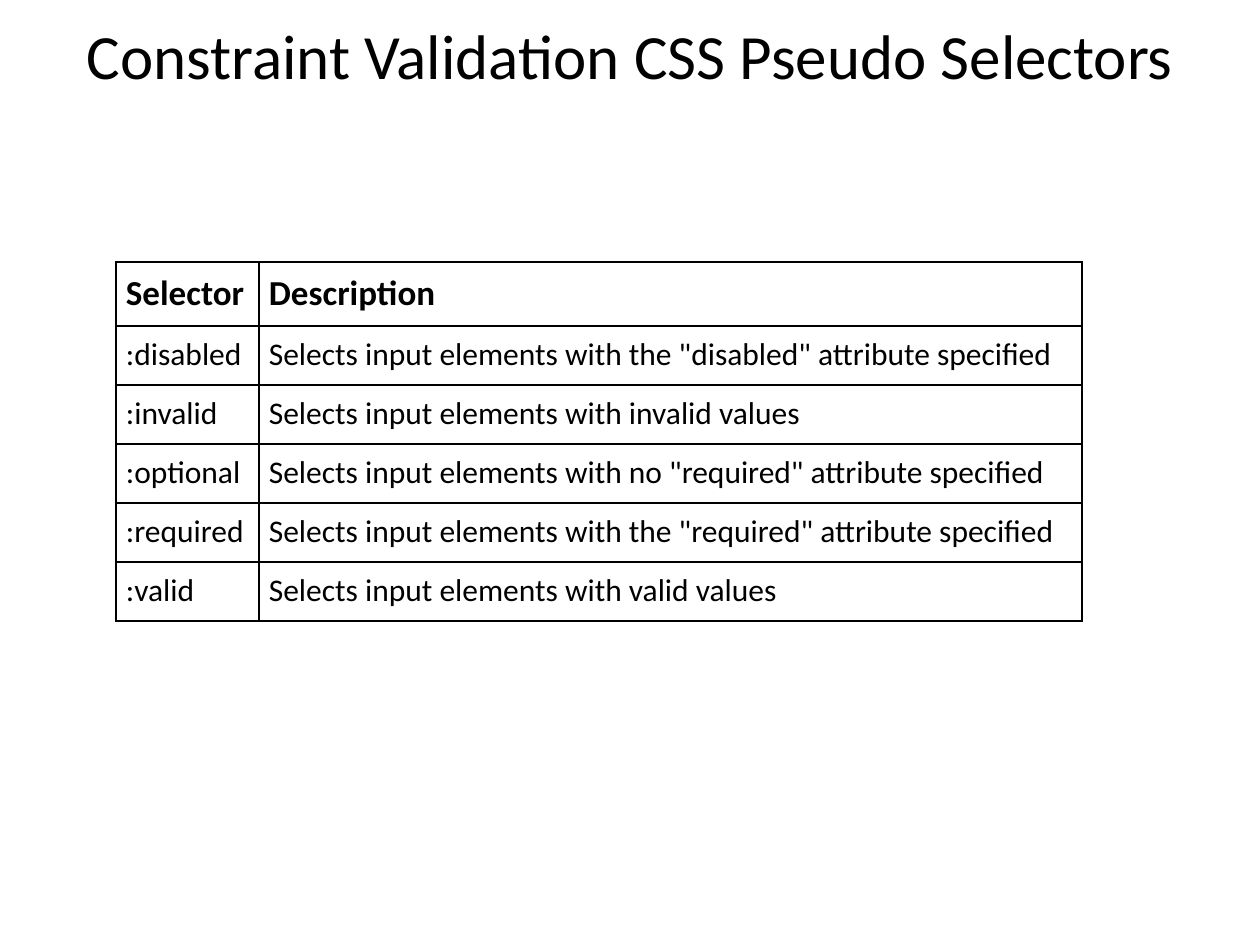
from pptx import Presentation
from pptx.dml.color import RGBColor
from pptx.enum.text import MSO_ANCHOR, PP_ALIGN
from pptx.oxml import parse_xml
from pptx.oxml.ns import nsdecls
from pptx.util import Pt

TITLE = "Constraint Validation CSS Pseudo Selectors"
ROWS = [
    ("Selector", "Description"),
    (":disabled", 'Selects input elements with the "disabled" attribute specified'),
    (":invalid", "Selects input elements with invalid values"),
    (":optional", 'Selects input elements with no "required" attribute specified'),
    (":required", 'Selects input elements with the "required" attribute specified'),
    (":valid", "Selects input elements with valid values"),
]
COLUMN_WIDTHS = (143, 823)
HEADER_HEIGHT, BODY_HEIGHT = 64, 59
TABLE_LEFT, TABLE_TOP = 116, 262
CELL_MARGIN = 10
FONT, BLACK = "Calibri", "000000"


def px(length):
    return round(length * 914400 / 126)


def color(value):
    return RGBColor.from_string(value)


def write(paragraph, text, size, bold=False):
    run = paragraph.add_run()
    run.text = text
    run.font.name = FONT
    run.font.size = Pt(size)
    run.font.bold = bold
    run.font.color.rgb = color(BLACK)


def add_borders(cell):
    properties = cell._tc.get_or_add_tcPr()
    for index, side in enumerate(("lnL", "lnR", "lnT", "lnB")):
        properties.insert(index, parse_xml(
            f'<a:{side} {nsdecls("a")} w="{Pt(1)}"><a:solidFill>'
            f'<a:srgbClr val="{BLACK}"/></a:solidFill></a:{side}>'))


def add_title(slide):
    title = slide.shapes.title
    title.left, title.top, title.width, title.height = map(px, (63, 10, 1134, 88))
    frame = title.text_frame
    frame.word_wrap = True
    frame.vertical_anchor = MSO_ANCHOR.MIDDLE
    paragraph = frame.paragraphs[0]
    paragraph.alignment = PP_ALIGN.CENTER
    write(paragraph, TITLE, 36)


def add_selector_table(slide):
    heights = [HEADER_HEIGHT] + [BODY_HEIGHT] * (len(ROWS) - 1)
    table = slide.shapes.add_table(
        len(ROWS), len(COLUMN_WIDTHS), px(TABLE_LEFT), px(TABLE_TOP),
        px(sum(COLUMN_WIDTHS)), px(sum(heights))).table
    table.horz_banding = False
    for column, width in zip(table.columns, COLUMN_WIDTHS):
        column.width = px(width)
    for row_index, (row, height, texts) in enumerate(zip(table.rows, heights, ROWS)):
        row.height = px(height)
        is_header = row_index == 0
        for cell, text in zip(row.cells, texts):
            cell.margin_left = cell.margin_right = px(CELL_MARGIN)
            cell.margin_top = cell.margin_bottom = px(CELL_MARGIN)
            cell.fill.background()
            add_borders(cell)
            write(cell.text_frame.paragraphs[0], text, 20 if is_header else 18, is_header)


def main():
    presentation = Presentation()
    presentation.slide_width, presentation.slide_height = px(1260), px(945)
    slide = presentation.slides.add_slide(presentation.slide_layouts[5])
    add_title(slide)
    add_selector_table(slide)
    presentation.save("out.pptx")


if __name__ == "__main__":
    main()
